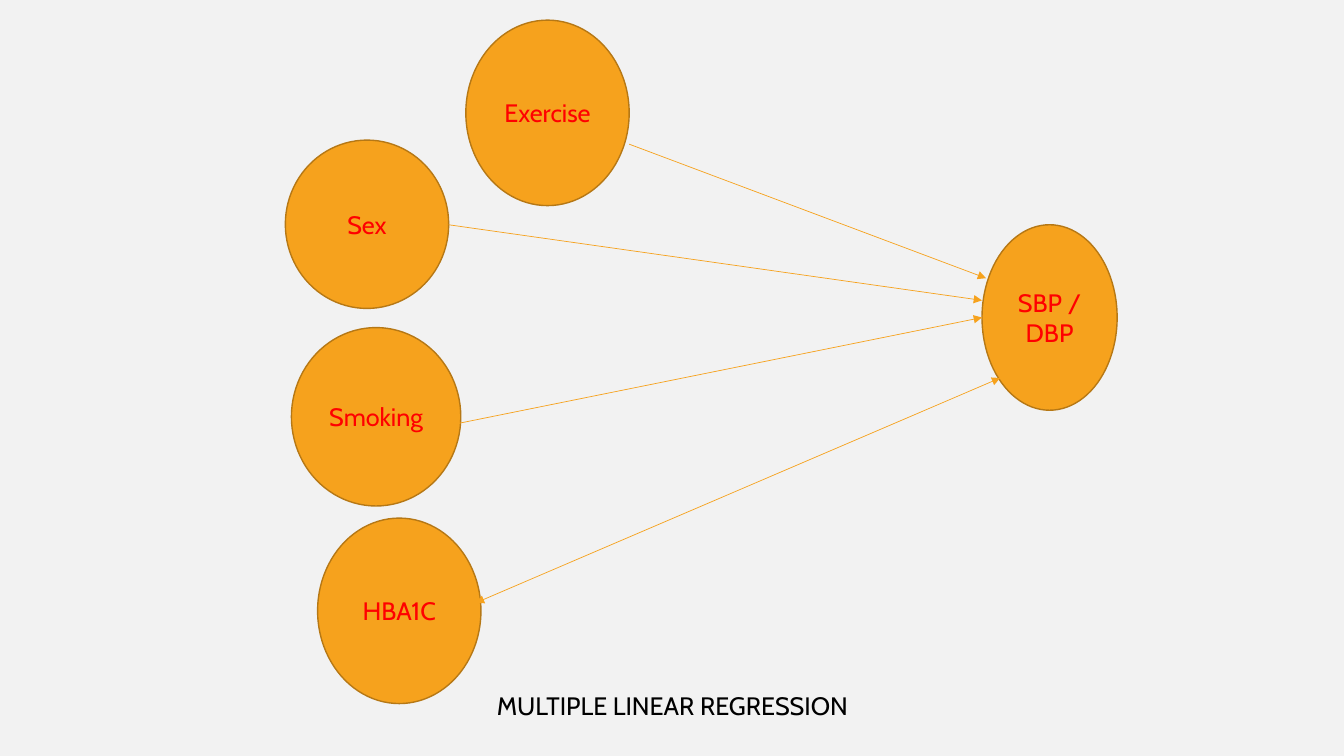
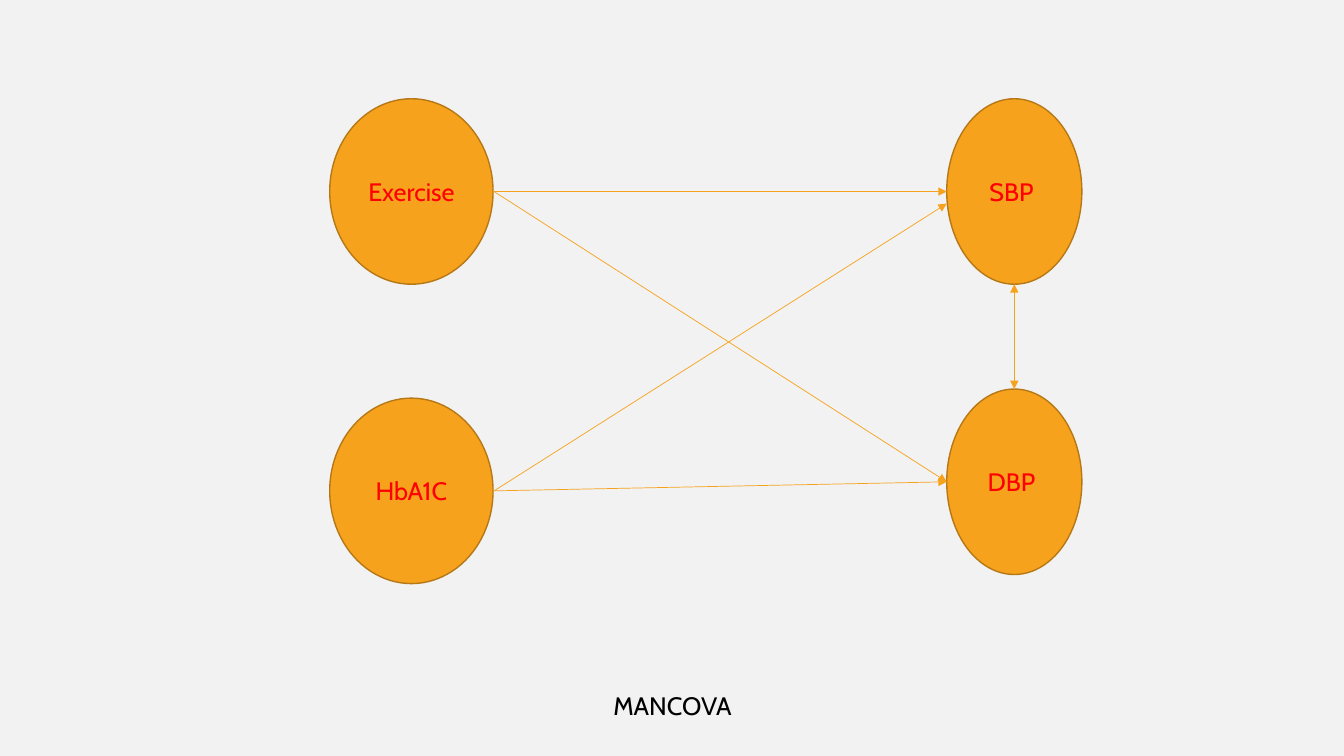
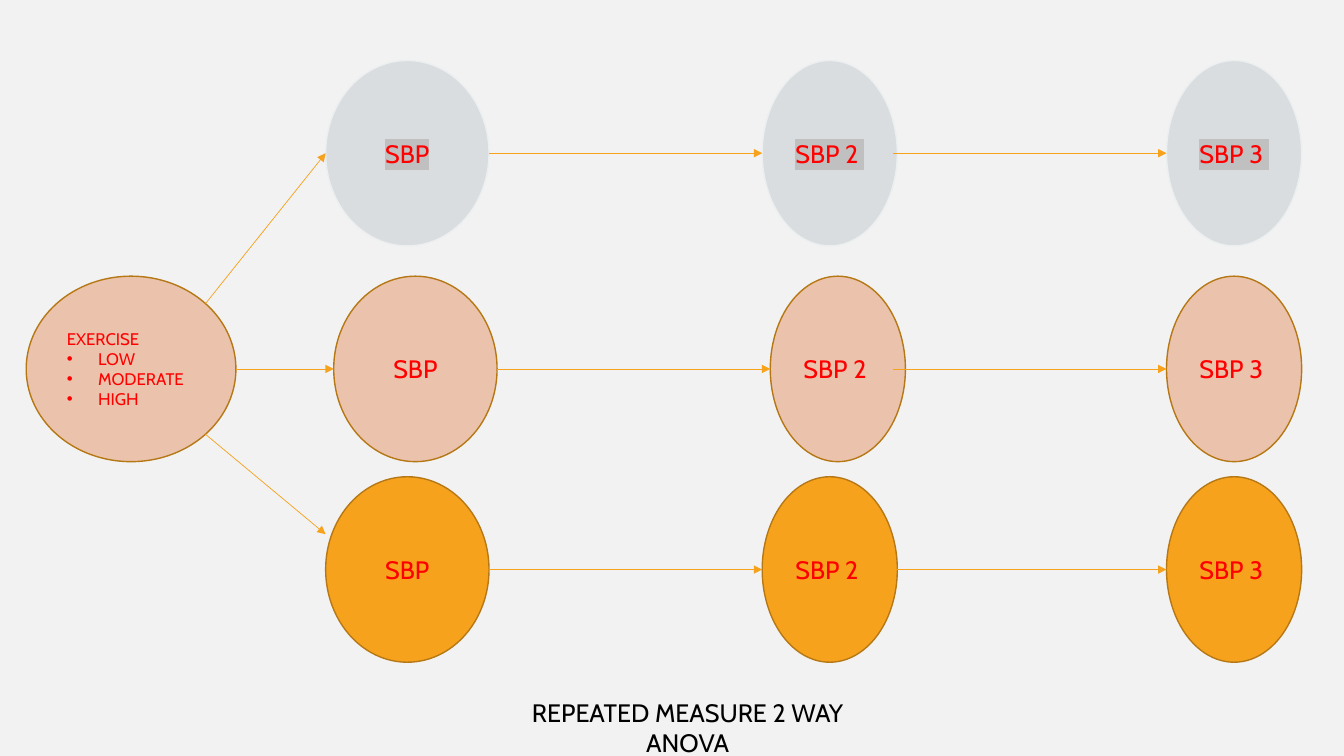
from lxml.etree import SubElement
from pptx import Presentation
from pptx.dml.color import RGBColor
from pptx.enum.shapes import MSO_CONNECTOR, MSO_SHAPE
from pptx.enum.text import MSO_ANCHOR, MSO_AUTO_SIZE, PP_ALIGN
from pptx.oxml.ns import qn
from pptx.util import Inches, Pt

FONT = "Cabin"
BACKGROUND, BLACK, RED = "F2F2F2", "000000", "FF0000"
ORANGE, BROWN = "F6A21D", "B67815"
PEACH, GREY, PALE, HIGHLIGHT = "EBC2AB", "D9DDDF", "EBEFF0", "C0C0C0"
HEIGHT, FACTOR_WIDTH, OUTCOME_WIDTH = 1.84, 1.62, 1.34


def rgb(code):
    """Turn a hex string into a colour."""
    return RGBColor.from_string(code)


def write(paragraph, text, size=18, color=RED, align=PP_ALIGN.CENTER, highlight=None, bullet=False):
    """Put formatted text into a paragraph."""
    paragraph.alignment = align
    run = paragraph.add_run()
    run.text = text
    run.font.size = Pt(size)
    run.font.color.rgb = rgb(color)
    if highlight:
        mark = SubElement(run.font._element, qn("a:highlight"))
        SubElement(mark, qn("a:srgbClr"), val=highlight)
    run.font.name = FONT
    if bullet:
        properties = paragraph._p.get_or_add_pPr()
        properties.set("marL", str(Inches(0.31)))
        properties.set("indent", str(Inches(-0.31)))
        SubElement(properties, qn("a:buFont"), typeface="Arial")
        SubElement(properties, qn("a:buChar"), char="•")


def add_oval(slide, left, top, width, height=HEIGHT, fill=ORANGE, border=BROWN):
    """Draw an outlined ellipse and return its text frame."""
    oval = slide.shapes.add_shape(
        MSO_SHAPE.OVAL, Inches(left), Inches(top), Inches(width), Inches(height))
    oval.shadow.inherit = False
    oval.fill.solid()
    oval.fill.fore_color.rgb = rgb(fill)
    oval.line.color.rgb = rgb(border)
    oval.line.width = Pt(1)
    return oval.text_frame


def add_variable(slide, label, left, top, width, height=HEIGHT, highlight=None, **colors):
    """Draw an ellipse labelled with one variable."""
    frame = add_oval(slide, left, top, width, height, **colors)
    write(frame.paragraphs[0], label, highlight=highlight)


def add_arrow(slide, start, end, both=False):
    """Draw a thin arrow between two points."""
    arrow = slide.shapes.add_connector(
        MSO_CONNECTOR.STRAIGHT, *[Inches(value) for value in (*start, *end)])
    arrow.line.color.rgb = rgb(ORANGE)
    arrow.line.width = Pt(0.5)
    stroke = arrow.line._get_or_add_ln()
    for tip in ("a:headEnd", "a:tailEnd") if both else ("a:tailEnd",):
        SubElement(stroke, qn(tip), type="triangle")
    SubElement(arrow._element.spPr, qn("a:effectLst"))


def add_slide(deck, caption, center=6.67, top=6.8):
    """Add a slide with its caption at the bottom."""
    slide = deck.slides.add_slide(deck.slide_layouts[5])
    title = slide.shapes.title
    title.left, title.top = Inches(center - 2), Inches(top)
    title.width, title.height = Inches(4), Inches(0.4)
    frame = title.text_frame
    frame.word_wrap = True
    frame.auto_size = MSO_AUTO_SIZE.NONE
    frame.vertical_anchor = MSO_ANCHOR.TOP
    write(frame.paragraphs[0], caption, color=BLACK)
    return slide


def build_regression(deck):
    """Show four factors acting on blood pressure."""
    slide = add_slide(deck, "MULTIPLE LINEAR REGRESSION")
    add_variable(slide, "SBP / DBP", 9.74, 2.23, OUTCOME_WIDTH)
    factors = [
        ("HBA1C", 3.15, 5.14, FACTOR_WIDTH, HEIGHT, (4.72, 5.98), (9.92, 3.75)),
        ("Sex", 2.83, 1.39, FACTOR_WIDTH, 1.67, (4.45, 2.23), (9.74, 2.98)),
        ("Exercise", 4.62, 0.2, FACTOR_WIDTH, HEIGHT, (6.24, 1.43), (9.78, 2.76)),
        ("Smoking", 2.89, 3.25, 1.68, 1.77, (4.45, 4.22), (9.74, 3.15)),
    ]
    for label, left, top, width, height, start, end in factors:
        add_variable(slide, label, left, top, width, height)
        add_arrow(slide, start, end, both=label == "HBA1C")


def build_mancova(deck):
    """Show two factors acting on two linked outcomes."""
    slide = add_slide(deck, "MANCOVA")
    factor_left, outcome_left = 3.27, 9.39
    factors = {"Exercise": 0.98, "HbA1C": 3.95}
    outcomes = {"SBP ": 0.98, "DBP ": 3.86}
    for label, top in factors.items():
        add_variable(slide, label, factor_left, top, FACTOR_WIDTH)
    for label, top in outcomes.items():
        add_variable(slide, label, outcome_left, top, OUTCOME_WIDTH)
    for start_y, end_y in [(1.9, 1.9), (1.9, 4.78), (4.87, 4.78), (4.87, 2.02)]:
        add_arrow(slide, (4.9, start_y), (outcome_left, end_y))
    middle = outcome_left + OUTCOME_WIDTH / 2
    add_arrow(slide, (middle, 0.98 + HEIGHT), (middle, 3.86), both=True)


def add_measure_row(slide, top, shift=0, **style):
    """Draw three successive measures joined by arrows."""
    first, second, third = 3.23 + shift, 7.56 + shift, 11.57
    middle = top + HEIGHT / 2
    add_variable(slide, "SBP", first, top, FACTOR_WIDTH, **style)
    add_variable(slide, "SBP 2 ", second, top, OUTCOME_WIDTH, **style)
    add_variable(slide, "SBP 3 ", third, top, OUTCOME_WIDTH, **style)
    add_arrow(slide, (first + FACTOR_WIDTH, middle), (second, middle))
    add_arrow(slide, (8.86, middle), (third, middle))


def build_repeated_measures(deck):
    """Show three exercise levels, each measured three times."""
    slide = add_slide(deck, "REPEATED MEASURE 2 WAY ANOVA", center=6.82, top=6.87)
    add_measure_row(slide, 0.6, fill=GREY, border=PALE, highlight=HIGHLIGHT)
    add_measure_row(slide, 2.74, shift=0.08, fill=PEACH)
    add_measure_row(slide, 4.73)
    exercise = add_oval(slide, 0.26, 2.74, 2.08, fill=PEACH)
    write(exercise.paragraphs[0], "EXERCISE", size=12, align=PP_ALIGN.LEFT)
    for level in ("LOW", "MODERATE", "HIGH"):
        write(exercise.add_paragraph(), level, size=12, align=PP_ALIGN.LEFT, bullet=True)
    add_arrow(slide, (2.04, 3.01), (3.23, 1.52))
    add_arrow(slide, (2.34, 3.66), (3.31, 3.66))
    add_arrow(slide, (2.04, 4.31), (3.23, 5.3))


def main():
    """Build and save the deck."""
    deck = Presentation()
    deck.slide_width, deck.slide_height = Inches(13.33), Inches(7.5)
    backdrop = deck.slide_master.background.fill
    backdrop.solid()
    backdrop.fore_color.rgb = rgb(BACKGROUND)
    build_regression(deck)
    build_mancova(deck)
    build_repeated_measures(deck)
    deck.save("out.pptx")


if __name__ == "__main__":
    main()
